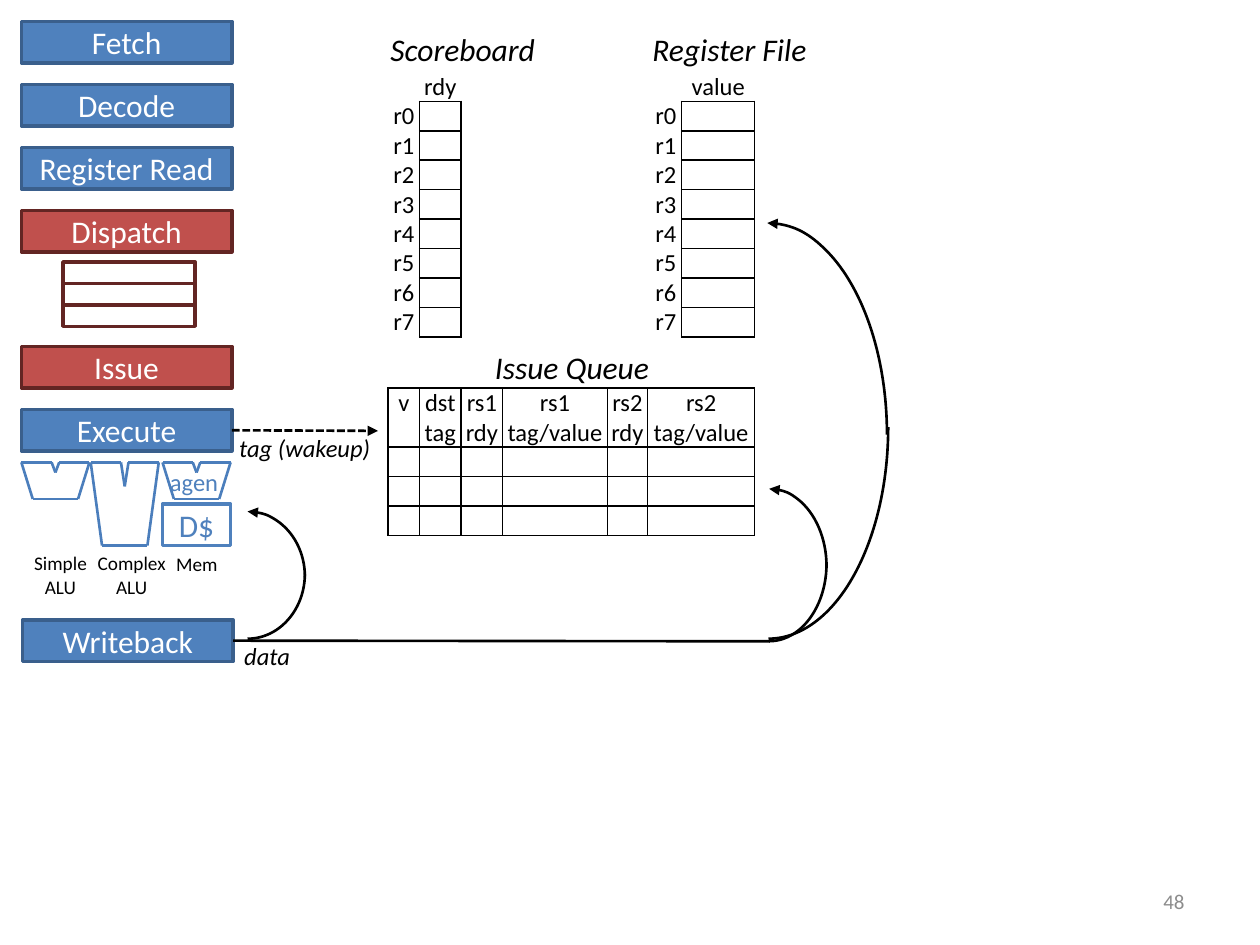
import pptx
import pptx.util
import pptx.dml.color
import pptx.enum.dml
import pptx.enum.shapes
import pptx.enum.text
import pptx.oxml
import pptx.oxml.ns

Inches = pptx.util.Inches
Pt = pptx.util.Pt
Shape = pptx.enum.shapes.MSO_SHAPE
Align = pptx.enum.text.PP_ALIGN
Anchor = pptx.enum.text.MSO_ANCHOR
STRAIGHT = pptx.enum.shapes.MSO_CONNECTOR.STRAIGHT


class Theme:
    font = "Calibri"
    blue, navy, steel = "4F81BD", "3A5F8C", "4B7EBC"
    red, wine = "C0504D", "632523"
    white, black, gray = "FFFFFF", "000000", "8C8C8C"
    head, body, foot, small = 18, 14, 12, 11
    thick, thin, rule = 2, 1.5, 1


def write(frame, text, size, color, align=Align.LEFT, slant=False):
    para = frame.paragraphs[0]
    para.text = text
    para.alignment = align
    para.font.name = Theme.font
    para.font.size = Pt(size)
    para.font.italic = slant
    para.font.color.rgb = pptx.dml.color.RGBColor.from_string(color)
    if not text:
        para._p.get_or_add_endParaRPr().set("sz", str(size * 100))


def stroke(item, color, width, arrow=None):
    item.line.color.rgb = pptx.dml.color.RGBColor.from_string(color)
    item.line.width = Pt(width)
    pptx.oxml.ns.qn("a:ln")
    props = item._element.spPr
    if props.find(pptx.oxml.ns.qn("a:effectLst")) is None:
        props.append(pptx.oxml.parse_xml(f"<a:effectLst {pptx.oxml.ns.nsdecls('a')}/>"))
    if arrow:
        item.line._get_or_add_ln().append(pptx.oxml.parse_xml(
            f"<a:{arrow} {pptx.oxml.ns.nsdecls('a')} type='triangle'/>"))


deck = pptx.Presentation()
deck.slide_width, deck.slide_height = Inches(10), Inches(7.5)
slide = deck.slides.add_slide(deck.slide_layouts[6])
shapes = slide.shapes

cool = (Theme.blue, Theme.navy, Theme.white)
warm = (Theme.red, Theme.wine, Theme.white)
stages = [
    ("Fetch", 0.17, 0.17, cool), ("Decode", 0.17, 0.67, cool),
    ("Register Read", 0.17, 1.17, cool), ("Dispatch", 0.17, 1.67, warm),
    ("Issue", 0.17, 2.75, warm), ("Execute", 0.17, 3.25, cool),
    ("Writeback", 0.18, 4.92, cool),
]
boxes = [(text, left, top, 1.67, 0.33, look) for text, left, top, look in stages]
boxes.append(("D$", 1.29, 4, 0.54, 0.33, (None, Theme.blue, Theme.blue)))
boxes += [("", 0.5, 2.08 + 0.17 * row, 1.05, 0.17, (None, Theme.wine, Theme.wine))
          for row in range(3)]
named = {}
for text, left, top, width, height, (fill, edge, ink) in boxes:
    box = shapes.add_shape(Shape.RECTANGLE, Inches(left), Inches(top),
                           Inches(width), Inches(height))
    box.shadow.inherit = False
    if fill:
        box.fill.solid()
        box.fill.fore_color.rgb = pptx.dml.color.RGBColor.from_string(fill)
    else:
        box.fill.background()
    stroke(box, edge, Theme.thick)
    if text:
        box.text_frame.vertical_anchor = Anchor.MIDDLE
        write(box.text_frame, text, Theme.head, ink, Align.CENTER)
        named[text] = box

for left, base, notch in [(0.17, 3.96, 3.75), (0.72, 4.33, 3.86), (1.29, 3.96, 3.75)]:
    top, right, mid = 3.67, left + 0.54, left + 0.27
    spots = [(left, top), (left + 0.09, base), (right - 0.09, base), (right, top),
             (mid + 0.03, top), (mid, notch), (mid - 0.03, top)]
    unit = shapes.add_group_shape()
    for start, end in zip(spots, spots[1:] + spots[:1]):
        side = unit.shapes.add_connector(STRAIGHT, *map(Inches, start + end))
        stroke(side, Theme.steel, Theme.thin)

labels = [
    ("agen", 1.25, 3.66, 0.59, 0.34, Theme.body, Theme.blue, Align.LEFT, False),
    ("Simple\nALU", 0.17, 4.33, 0.62, 0.47, Theme.small, Theme.black, Align.CENTER, False),
    ("Complex\nALU", 0.67, 4.33, 0.75, 0.47, Theme.small, Theme.black, Align.CENTER, False),
    ("Mem", 1.3, 4.33, 0.53, 0.29, Theme.small, Theme.black, Align.LEFT, False),
    ("Scoreboard", 3, 0.19, 1.36, 0.4, Theme.head, Theme.black, Align.LEFT, True),
    ("Issue Queue", 3.83, 2.71, 1.44, 0.4, Theme.head, Theme.black, Align.LEFT, True),
    ("Register File", 5.08, 0.19, 1.65, 0.4, Theme.head, Theme.black, Align.LEFT, True),
    ("tag (wakeup)", 1.8, 3.39, 1.25, 0.34, Theme.body, Theme.black, Align.LEFT, True),
    ("data", 1.84, 5.04, 0.57, 0.34, Theme.body, Theme.black, Align.LEFT, True),
    ("48", 7.17, 6.95, 2.33, 0.4, Theme.foot, Theme.gray, Align.RIGHT, False),
]
for text, left, top, width, height, size, ink, align, slant in labels:
    note = shapes.add_textbox(Inches(left), Inches(top), Inches(width), Inches(height))
    note.text_frame.word_wrap = text in ("Register File", "48")
    if text == "48":
        note.text_frame.vertical_anchor = Anchor.MIDDLE
    else:
        note.text_frame.auto_size = pptx.enum.text.MSO_AUTO_SIZE.SHAPE_TO_FIT_TEXT
    write(note.text_frame, text, size, ink, align, slant)

names = [[f"r{num}", ""] for num in range(8)]
queue = [["v", "dst tag", "rs1 rdy", "rs1 tag/value", "rs2 rdy", "rs2 tag/value"]]
queue += [[""] * 6 for row in range(3)]
step = 2.1 / 9
grids = [
    (3.08, 0.57, [0.25, 0.33], [step] * 9, [["", "rdy"]] + names, 1),
    (5.16, 0.57, [0.25, 0.58], [step] * 9, [["", "value"]] + names, 1),
    (3.08, 3.08, [0.25, 0.33, 0.33, 0.83, 0.32, 0.85], [2 * step] + [step] * 3, queue, 0),
]
for left, top, cols, rows, words, first in grids:
    table = shapes.add_table(len(rows), len(cols), Inches(left), Inches(top),
                             Inches(sum(cols)), Inches(sum(rows))).table
    table.first_row = table.horz_banding = False
    for col, width in zip(table.columns, cols):
        col.width = Inches(width)
    for row, height in zip(table.rows, rows):
        row.height = Inches(height)
    for y, line in enumerate(words):
        for x, text in enumerate(line):
            cell = table.cell(y, x)
            cell.margin_left = cell.margin_right = cell.margin_top = cell.margin_bottom = 0
            write(cell.text_frame, text, Theme.body, Theme.black, Align.CENTER)
            sides = "LRTB" if x >= first and y >= first else ""
            if first and x == 0 and y:
                sides = "R"
            if first and x and y == 0:
                sides = "B"
            for side in sides:
                cell._tc.get_or_add_tcPr().append(pptx.oxml.parse_xml(
                    f"<a:ln{side} {pptx.oxml.ns.nsdecls('a')} w='{Pt(Theme.rule)}'>"
                    f"<a:solidFill><a:srgbClr val='{Theme.black}'/></a:solidFill></a:ln{side}>"))
            cell.fill.background()

wakeup = shapes.add_connector(STRAIGHT, Inches(1.84), Inches(3.42), Inches(3), Inches(3.42))
wakeup.begin_connect(named["Execute"], 3)
wakeup.line.dash_style = pptx.enum.dml.MSO_LINE.SQUARE_DOT
stroke(wakeup, Theme.black, Theme.thin, "tailEnd")

bus = shapes.add_connector(STRAIGHT, Inches(1.85), Inches(5.08), Inches(6.11), Inches(5.09))
bus.begin_connect(named["Writeback"], 3)
stroke(bus, Theme.black, Theme.thin)

arcs = [
    (5.14, 1.77, 1.9, 3.36, False), (5.15, 1.71, 1.9, 3.36, True),
    (5.65, 3.88, 0.91, 1.23, False), (5.65, 3.86, 0.91, 1.23, True),
    (1.51, 4.06, 0.91, 1.03, False), (1.51, 4.04, 0.91, 1.03, True),
]
for left, top, width, height, flip in arcs:
    arc = shapes.add_shape(Shape.ARC, Inches(left), Inches(top), Inches(width), Inches(height))
    arc.shadow.inherit = False
    arc.fill.background()
    stroke(arc, Theme.black, Theme.thin, None if flip else "headEnd")
    if flip:
        arc._element.spPr.get_or_add_xfrm().set("flipV", "1")

deck.save("out.pptx")
